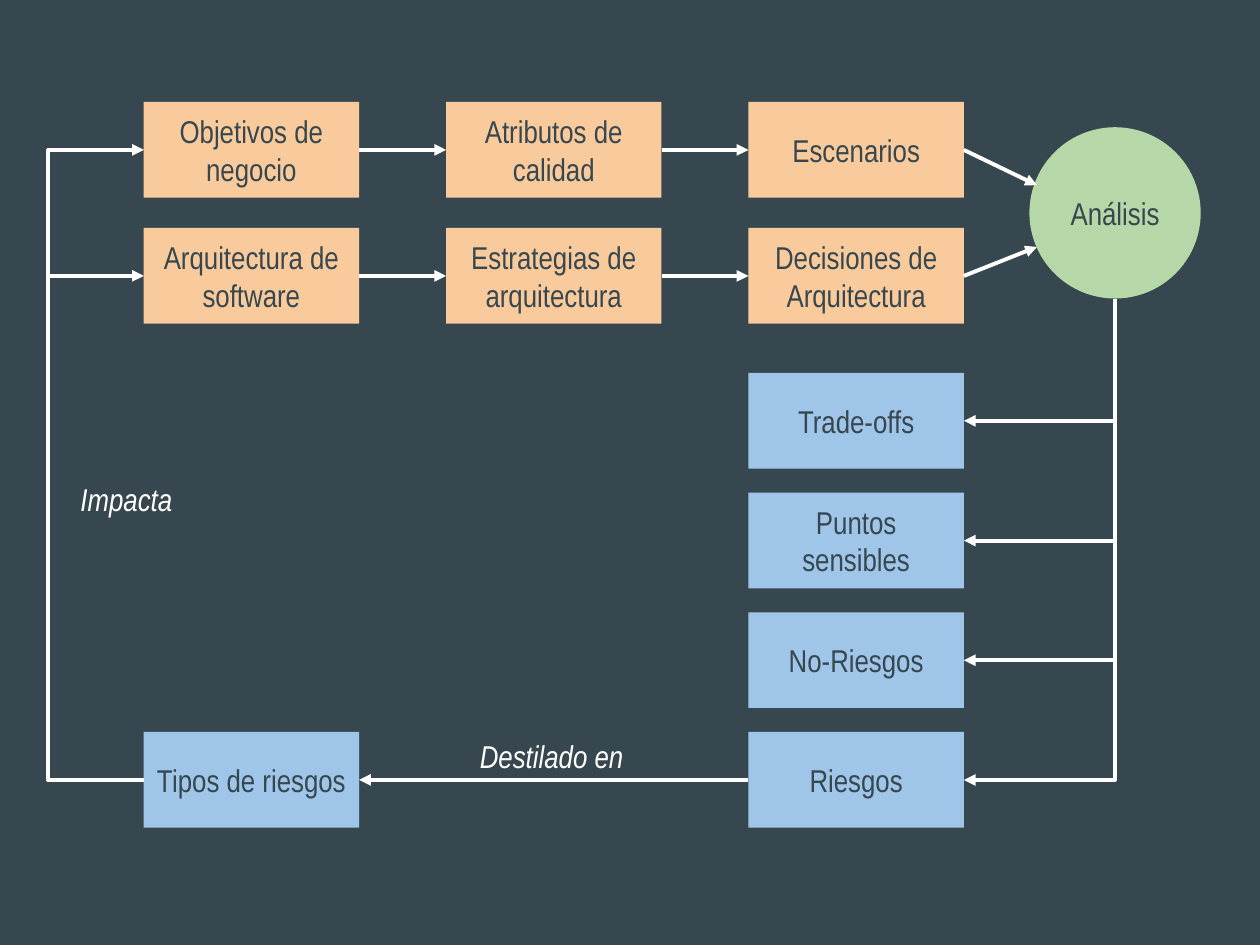
"""Build the architecture evaluation flow slide."""
from dataclasses import dataclass

from lxml.etree import SubElement
from pptx import Presentation
from pptx.dml.color import RGBColor
from pptx.enum.shapes import MSO_CONNECTOR, MSO_SHAPE
from pptx.enum.text import MSO_ANCHOR, PP_ALIGN
from pptx.oxml.ns import qn
from pptx.shapes.connector import Connector
from pptx.slide import Slide
from pptx.text.text import TextFrame
from pptx.util import Emu, Inches, Pt

SLATE = RGBColor(0x37, 0x47, 0x4F)
ORANGE = RGBColor(0xF9, 0xCB, 0x9C)
BLUE = RGBColor(0x9F, 0xC5, 0xE8)
GREEN = RGBColor(0xB6, 0xD7, 0xA8)
WHITE = RGBColor(0xFF, 0xFF, 0xFF)

BOX_WIDTH, BOX_HEIGHT = 1.71, 0.76
COLUMNS = [1.14 + 2.4 * i for i in range(3)]
INPUT_ROWS = [0.81, 1.81]
OUTPUT_ROWS = [2.96 + 0.95 * i for i in range(4)]
INPUTS = [
    ["Objetivos de negocio", "Atributos de calidad", "Escenarios"],
    ["Arquitectura de software", "Estrategias de arquitectura", "Decisiones de Arquitectura"],
]
OUTPUTS = ["Trade-offs", "Puntos sensibles", "No-Riesgos", "Riesgos"]
FEEDBACK_REACH = Inches(0.7)
FEEDBACK_SPAN = Emu(1000)


@dataclass(frozen=True)
class Node:
    label: str
    left: float
    top: float
    color: RGBColor
    width: float = BOX_WIDTH
    height: float = BOX_HEIGHT
    outline: MSO_SHAPE = MSO_SHAPE.RECTANGLE

    @property
    def right(self) -> float:
        return self.left + self.width

    @property
    def bottom(self) -> float:
        return self.top + self.height

    @property
    def center(self) -> float:
        return self.left + self.width / 2

    @property
    def middle(self) -> float:
        return self.top + self.height / 2


@dataclass(frozen=True)
class Caption:
    label: str
    left: float
    top: float
    width: float
    height: float = 0.5


def write_label(frame: TextFrame, label: str, color: RGBColor, italic: bool = False) -> None:
    """Put one formatted run in a text frame."""
    frame.word_wrap = True
    frame.margin_left = frame.margin_right = Inches(0.1)
    frame.margin_top = frame.margin_bottom = Inches(0.1)
    run = frame.paragraphs[0].add_run()
    run.text = label
    run.font.name = "Arial Narrow"
    run.font.size = Pt(18)
    run.font.italic = italic
    run.font.color.rgb = color


def draw_node(slide: Slide, node: Node) -> None:
    """Draw a filled node with a centred label."""
    shape = slide.shapes.add_shape(
        node.outline, Inches(node.left), Inches(node.top), Inches(node.width), Inches(node.height)
    )
    shape.shadow.inherit = False
    shape.fill.solid()
    shape.fill.fore_color.rgb = node.color
    shape.line.fill.background()
    write_label(shape.text_frame, node.label, SLATE)
    shape.text_frame.vertical_anchor = MSO_ANCHOR.MIDDLE
    shape.text_frame.paragraphs[0].alignment = PP_ALIGN.CENTER


def draw_caption(slide: Slide, caption: Caption) -> None:
    """Draw an italic caption beside an arrow."""
    box = slide.shapes.add_textbox(
        Inches(caption.left), Inches(caption.top), Inches(caption.width), Inches(caption.height)
    )
    write_label(box.text_frame, caption.label, WHITE, italic=True)


def draw_arrow(
    slide: Slide, kind: MSO_CONNECTOR, x1: float, y1: float, x2: float, y2: float
) -> Connector:
    """Draw a white connector with an arrowhead at its end."""
    arrow = slide.shapes.add_connector(kind, Inches(x1), Inches(y1), Inches(x2), Inches(y2))
    arrow.line.color.rgb = WHITE
    arrow.line.width = Pt(2.25)
    properties = arrow._element.spPr
    SubElement(properties.find(qn("a:ln")), qn("a:tailEnd"), type="triangle")
    SubElement(properties, qn("a:effectLst"))
    return arrow


def draw_feedback(slide: Slide, source: Node, target: Node) -> None:
    """Loop from the left side of a node back up to another one."""
    arrow = draw_arrow(
        slide, MSO_CONNECTOR.ELBOW, source.left, source.middle, target.left, target.middle
    )
    arrow.width = FEEDBACK_SPAN
    bend = -FEEDBACK_REACH * 100000 // FEEDBACK_SPAN
    geometry = arrow._element.spPr.find(qn("a:prstGeom"))
    SubElement(geometry.find(qn("a:avLst")), qn("a:gd"), name="adj1", fmla=f"val {bend}")


def draw_drop(slide: Slide, source: Node, target: Node) -> None:
    """Go down from a node, then left into another one."""
    center_x = (source.center + target.right) / 2
    center_y = (source.bottom + target.middle) / 2
    half_run = (source.center - target.right) / 2
    half_drop = (target.middle - source.bottom) / 2
    arrow = draw_arrow(
        slide,
        MSO_CONNECTOR.ELBOW,
        center_x - half_drop,
        center_y - half_run,
        center_x + half_drop,
        center_y + half_run,
    )
    properties = arrow._element.spPr
    properties.find(qn("a:xfrm")).set("rot", str(90 * 60000))
    properties.find(qn("a:prstGeom")).set("prst", "bentConnector2")


def main() -> None:
    """Build and save the slide."""
    presentation = Presentation()
    presentation.slide_width, presentation.slide_height = Inches(10), Inches(7.5)
    slide = presentation.slides.add_slide(presentation.slide_layouts[6])
    slide.background.fill.solid()
    slide.background.fill.fore_color.rgb = SLATE

    chains = [
        [Node(label, left, top, ORANGE) for label, left in zip(labels, COLUMNS)]
        for labels, top in zip(INPUTS, INPUT_ROWS)
    ]
    outputs = [Node(label, COLUMNS[2], top, BLUE) for label, top in zip(OUTPUTS, OUTPUT_ROWS)]
    risks = outputs[-1]
    risk_types = Node("Tipos de riesgos", COLUMNS[0], risks.top, BLUE)
    analysis = Node("Análisis", 8.17, 1.01, GREEN, 1.36, 1.36, MSO_SHAPE.OVAL)
    for node in [*chains[0], *chains[1], *outputs, risk_types, analysis]:
        draw_node(slide, node)

    for chain, entry_y in zip(chains, [1.47, 1.96]):
        draw_feedback(slide, risk_types, chain[0])
        for source, target in zip(chain, chain[1:]):
            draw_arrow(
                slide, MSO_CONNECTOR.ELBOW, source.right, source.middle, target.left, target.middle
            )
        last = chain[-1]
        draw_arrow(slide, MSO_CONNECTOR.STRAIGHT, last.right, last.middle, 8.23, entry_y)
    for output in outputs:
        draw_drop(slide, analysis, output)
    draw_arrow(
        slide, MSO_CONNECTOR.ELBOW, risks.left, risks.middle, risk_types.right, risk_types.middle
    )

    draw_caption(slide, Caption("Impacta", 0.54, 3.71, 1.23))
    draw_caption(slide, Caption("Destilado en", 3.71, 5.75, 1.48))
    presentation.save("out.pptx")


if __name__ == "__main__":
    main()
